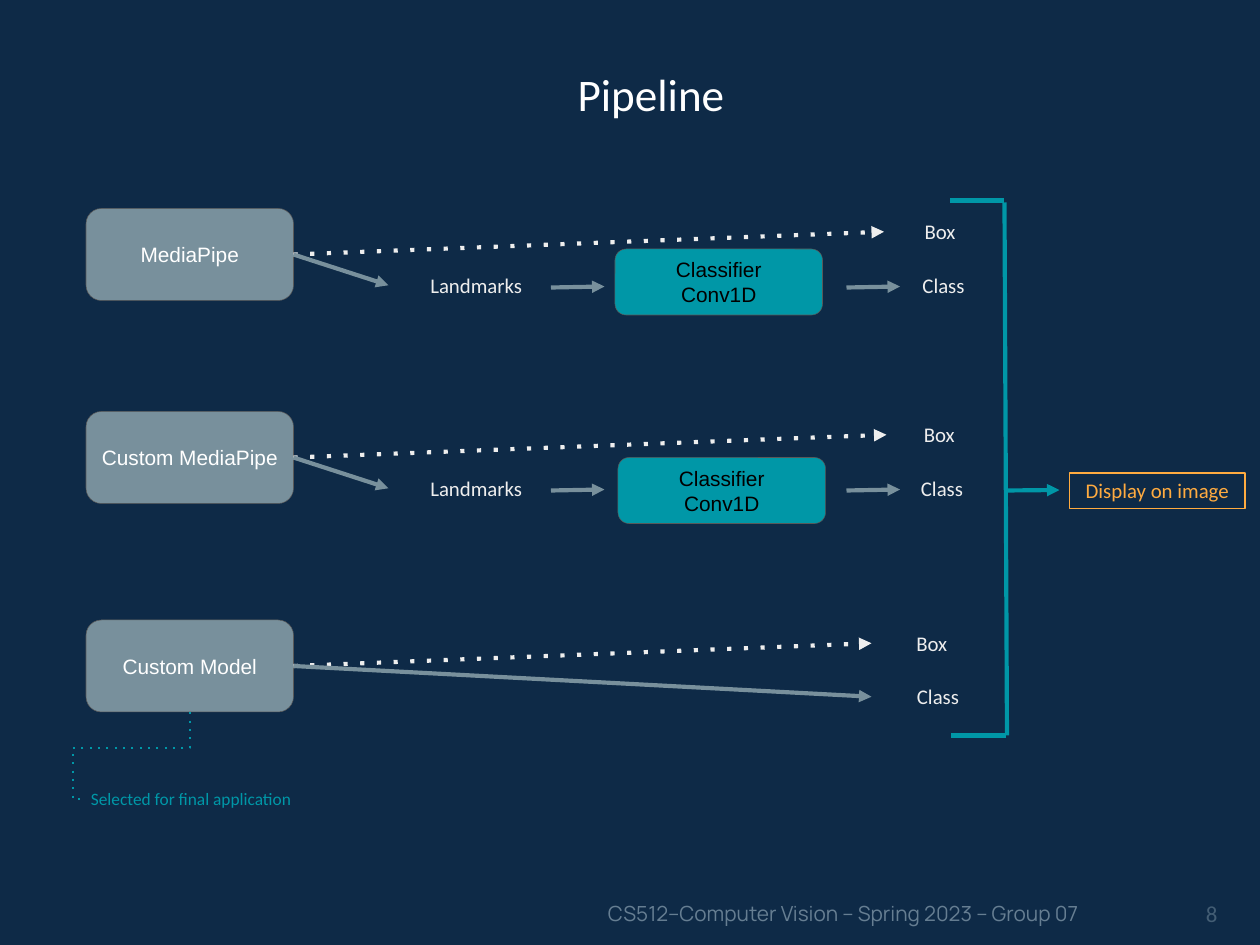
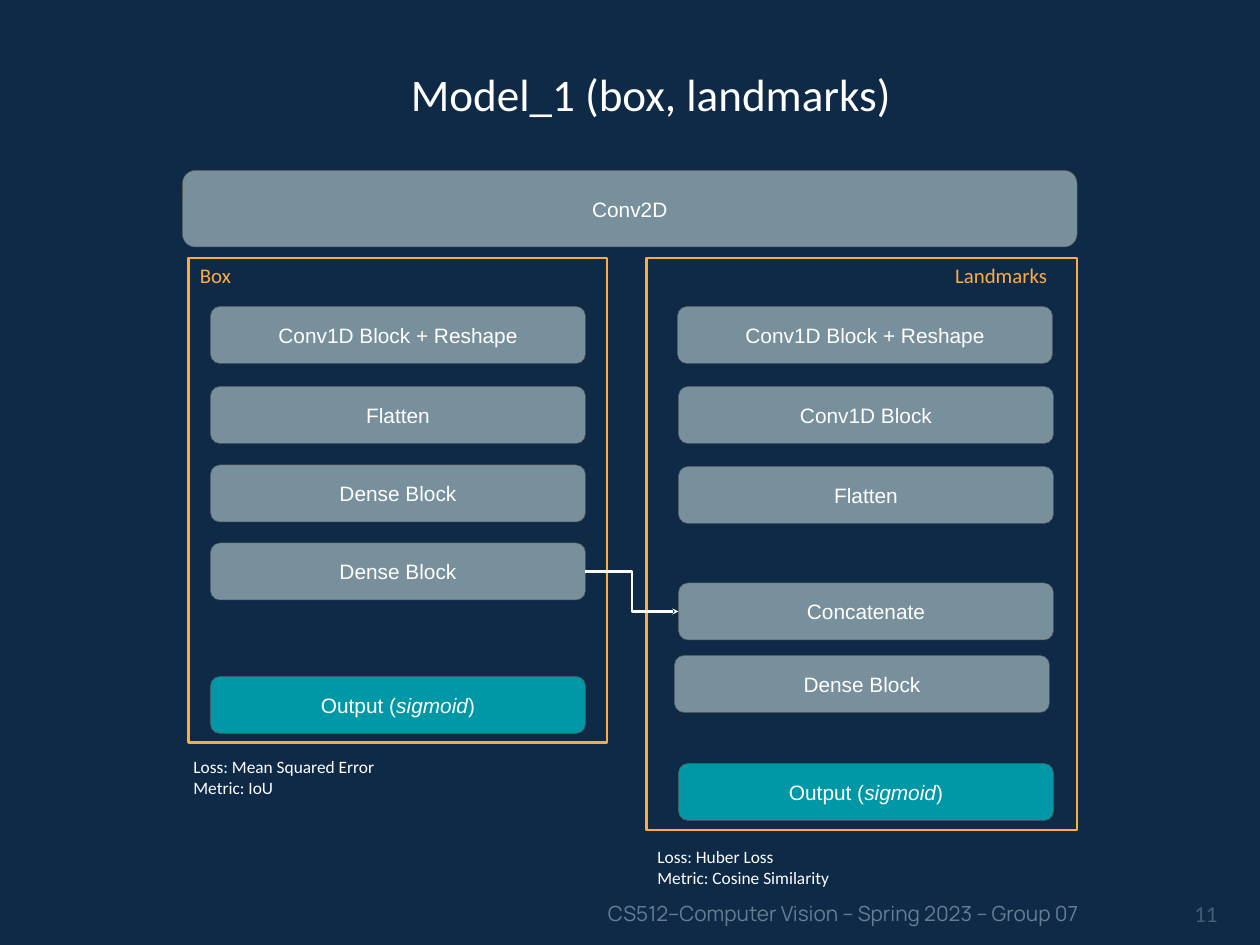
from lxml import etree
from pptx import Presentation
from pptx.dml.color import RGBColor
from pptx.enum.shapes import MSO_CONNECTOR as CONNECTOR, MSO_SHAPE as SHAPE
from pptx.enum.text import MSO_ANCHOR as ANCHOR, MSO_AUTO_SIZE as AUTO_SIZE, PP_ALIGN as ALIGN
from pptx.oxml.ns import qn
from pptx.util import Inches, Pt

NAVY = RGBColor(0x0E, 0x2A, 0x47)
WHITE = RGBColor(0xFF, 0xFF, 0xFF)
OFF_WHITE = RGBColor(0xEE, 0xEE, 0xEE)
BLACK = RGBColor(0x00, 0x00, 0x00)
SLATE = RGBColor(0x78, 0x90, 0x9C)
OUTLINE = RGBColor(0x59, 0x59, 0x59)
TEAL = RGBColor(0x00, 0x97, 0xA7)
ORANGE = RGBColor(0xFF, 0xAB, 0x40)
FOOTER_GREY = RGBColor(0x66, 0x7E, 0x92)
NUMBER_GREY = RGBColor(0x43, 0x5D, 0x74)

BLOCK = SHAPE.FLOWCHART_ALTERNATE_PROCESS
TOP, LEFT, BOTTOM, RIGHT = range(4)


def add_box(slide, bounds, text="", kind=None, fill=None, line=OUTLINE, line_width=0.75,
            font="Calibri", size=30, color=WHITE, align=ALIGN.CENTER,
            anchor=ANCHOR.TOP, inset=0.1):
    """Add a text box, or a preset shape if kind is given; *text* is italic."""
    bounds = [Inches(value) for value in bounds]
    if kind is None:
        shape = slide.shapes.add_textbox(*bounds)
    else:
        shape = slide.shapes.add_shape(kind, *bounds)
        shape.shadow.inherit = False
        if fill is None:
            shape.fill.background()
        else:
            shape.fill.solid()
            shape.fill.fore_color.rgb = fill
        shape.line.color.rgb = line
        shape.line.width = Pt(line_width)
    if kind == BLOCK:
        font, anchor = "Arial", ANCHOR.MIDDLE
    frame = shape.text_frame
    frame.word_wrap = True
    frame.vertical_anchor = anchor
    frame.margin_left = frame.margin_right = Inches(inset)
    frame.margin_top = frame.margin_bottom = Inches(inset)
    for index, row in enumerate(text.split("\n") if text else []):
        paragraph = frame.add_paragraph() if index else frame.paragraphs[0]
        paragraph.alignment = align
        for part, piece in enumerate(row.split("*")):
            run = paragraph.add_run()
            run.text = piece
            run.font.name = font
            run.font.size = Pt(size)
            run.font.color.rgb = color
            run.font.italic = part % 2 == 1
    return shape


def add_line(slide, start, end, color, width=6, dash=None, arrow=None, kind=CONNECTOR.STRAIGHT):
    """Add a connector; each end is an (x, y) point or a (shape, side) pair."""
    joins = [not isinstance(place[0], (int, float)) for place in (start, end)]
    points = [(0, 0) if joined else place for joined, place in zip(joins, (start, end))]
    connector = slide.shapes.add_connector(
        kind, *[Inches(value) for point in points for value in point])
    if joins[0]:
        connector.begin_connect(*start)
    if joins[1]:
        connector.end_connect(*end)
    connector.line.color.rgb = color
    connector.line.width = Pt(width)
    properties = connector._element.spPr
    outline = properties.find(qn("a:ln"))
    if dash:
        etree.SubElement(outline, qn("a:prstDash"), val=dash)
    if arrow:
        etree.SubElement(outline, qn("a:tailEnd"), type=arrow)
    etree.SubElement(properties, qn("a:effectLst"))
    return connector


presentation = Presentation()
presentation.slide_width = Inches(25.2)
presentation.slide_height = Inches(18.9)
background = presentation.slide_master.background.fill
background.solid()
background.fore_color.rgb = NAVY

# Titles, footers and slide numbers
slides = []
for title_text, number in [("Pipeline", "8"), ("Model_1 (box, landmarks)", "11")]:
    slide = presentation.slides.add_slide(presentation.slide_layouts[5])
    title = slide.shapes.title
    title.left, title.top, title.width, title.height = map(Inches, (1.58, 1.05, 22.88, 2.2))
    frame = title.text_frame
    frame.auto_size = AUTO_SIZE.NONE
    frame.vertical_anchor = ANCHOR.TOP
    frame.margin_left = frame.margin_right = Inches(0.28)
    frame.margin_top = frame.margin_bottom = Inches(0.28)
    paragraph = frame.paragraphs[0]
    paragraph.alignment = ALIGN.CENTER
    run = paragraph.add_run()
    run.text = title_text
    run.font.name = "Calibri"
    run.font.size = Pt(65)
    run.font.color.rgb = WHITE

    footer = add_box(slide, (12.06, 18, 11.81, 0.61),
                     "CS512–Computer Vision – Spring 2023 – Group 07", font="Manrope",
                     color=FOOTER_GREY, align=ALIGN.LEFT, anchor=ANCHOR.MIDDLE)
    footer.text_frame.paragraphs[0].line_spacing = 0.8
    add_box(slide, (23.47, 17.74, 1.13, 1.03), number, size=33, color=NUMBER_GREY,
            align=ALIGN.RIGHT, inset=0.25)
    slides.append(slide)
pipeline, model = slides

# Pipeline: model, top, (left, width) of each result, place of the classifier
pipeline_rows = [
    ("MediaPipe", 4.17, (17.68, 2.24), (17.49, 2.76), (12.3, 4.98)),
    ("Custom MediaPipe", 8.23, (17.73, 2.11), (17.46, 2.76), (12.36, 9.15)),
    ("Custom Model", 12.4, (17.43, 2.41), (17.43, 2.66), None),
]
for name, top, (box_left, box_width), (class_left, class_width), classifier in pipeline_rows:
    source = add_box(pipeline, (1.72, top, 4.15, 1.84), name, BLOCK, SLATE)
    box_label = add_box(pipeline, (box_left, top + 0.11, box_width, 0.71), "Box", color=OFF_WHITE)
    class_label = add_box(pipeline, (class_left, top + 1.18, class_width, 0.71), "Class",
                          color=OFF_WHITE)
    add_line(pipeline, (source, RIGHT), (box_label, LEFT), OFF_WHITE, dash="dot", arrow="triangle")
    target = class_label
    if classifier:
        target = add_box(pipeline, (7.77, top + 1.18, 3.51, 0.71), "Landmarks", color=OFF_WHITE)
        add_box(pipeline, (*classifier, 4.15, 1.32), "Classifier\nConv1D", BLOCK, TEAL, color=BLACK)
        for x in (11.02, 16.93):
            add_line(pipeline, (x, top + 1.58), (x + 1.07, top + 1.56), SLATE, arrow="triangle")
    add_line(pipeline, (source, RIGHT), (target, LEFT), SLATE, arrow="triangle")
custom_model = source

# Bracket that gathers the results
for start, end, arrow in [
    ((19, 4.01), (20.09, 4.01), None),
    ((20.09, 4.05), (20.14, 14.71), None),
    ((19.03, 14.71), (20.13, 14.71), None),
    ((20.12, 9.81), (21.19, 9.8), "triangle"),
]:
    add_line(pipeline, start, end, TEAL, arrow=arrow)
add_box(pipeline, (21.39, 9.46, 3.51, 0.71), "Display on image", SHAPE.RECTANGLE,
        line=ORANGE, line_width=2.25, color=ORANGE)

selected = add_box(pipeline, (1.72, 15.66, 5.13, 0.62), "Selected for final application",
                   size=25, color=TEAL, align=ALIGN.LEFT)
elbow = add_line(pipeline, (custom_model, BOTTOM), (selected, LEFT), TEAL, 3, "dot",
                 kind=CONNECTOR.ELBOW)
# A four-part elbow, turned to leave downwards and come in from the left
elbow.left, elbow.top, elbow.width, elbow.height = map(Inches, (1.89, 14.07, 1.73, 2.08))
transform = elbow._element.spPr.find(qn("a:xfrm"))
transform.attrib.pop("flipH", None)
transform.set("rot", "5400000")
geometry = elbow._element.spPr.find(qn("a:prstGeom"))
geometry.set("prst", "bentConnector4")
adjustments = geometry.find(qn("a:avLst"))
if adjustments is None:
    adjustments = etree.SubElement(geometry, qn("a:avLst"))
for name, value in (("adj1", 41000), ("adj2", 112500)):
    etree.SubElement(adjustments, qn("a:gd"), name=name, fmla=f"val {value}")

# Model: two branches below a shared block
add_box(model, (3.65, 3.41, 17.89, 1.53), "Conv2D", BLOCK, SLATE)
branches = [
    ("Box", ALIGN.LEFT, 3.9, (3.77, 5.16, 8.37, 9.69),
     "Loss: Mean Squared Error\nMetric: IoU", (3.77, 15.02),
     [(4.21, 6.13, "Conv1D Block + Reshape"), (4.21, 7.73, "Flatten"),
      (4.21, 9.3, "Dense Block"), (4.21, 10.86, "Dense Block"),
      (4.21, 13.53, "Output (*sigmoid*)")]),
    ("Landmarks", ALIGN.RIGHT, 12.93, (12.93, 5.16, 8.61, 11.44),
     "Loss: Huber Loss\nMetric: Cosine Similarity", (13.05, 16.82),
     [(13.55, 6.13, "Conv1D Block + Reshape"), (13.57, 7.73, "Conv1D Block"),
      (13.57, 9.33, "Flatten"), (13.57, 11.66, "Concatenate"),
      (13.49, 13.11, "Dense Block"), (13.57, 15.27, "Output (*sigmoid*)")]),
]
fourth_blocks = []
for heading, align, heading_left, frame_bounds, training, training_place, layers in branches:
    add_box(model, frame_bounds, kind=SHAPE.FLOWCHART_PROCESS, line=ORANGE, line_width=3)
    add_box(model, (heading_left, 5.16, 8.11, 0.71), heading, color=ORANGE, align=align)
    blocks = [add_box(model, (left, top, 7.5, 1.14), text, BLOCK,
                      TEAL if text.startswith("Output") else SLATE)
              for left, top, text in layers]
    fourth_blocks.append(blocks[3])
    add_box(model, (*training_place, 8.37, 1.04), training, size=25, align=ALIGN.LEFT)
dense_block, concatenate = fourth_blocks
add_line(model, (dense_block, RIGHT), (concatenate, LEFT), WHITE, 3, arrow="stealth",
         kind=CONNECTOR.ELBOW)

presentation.save("out.pptx")
